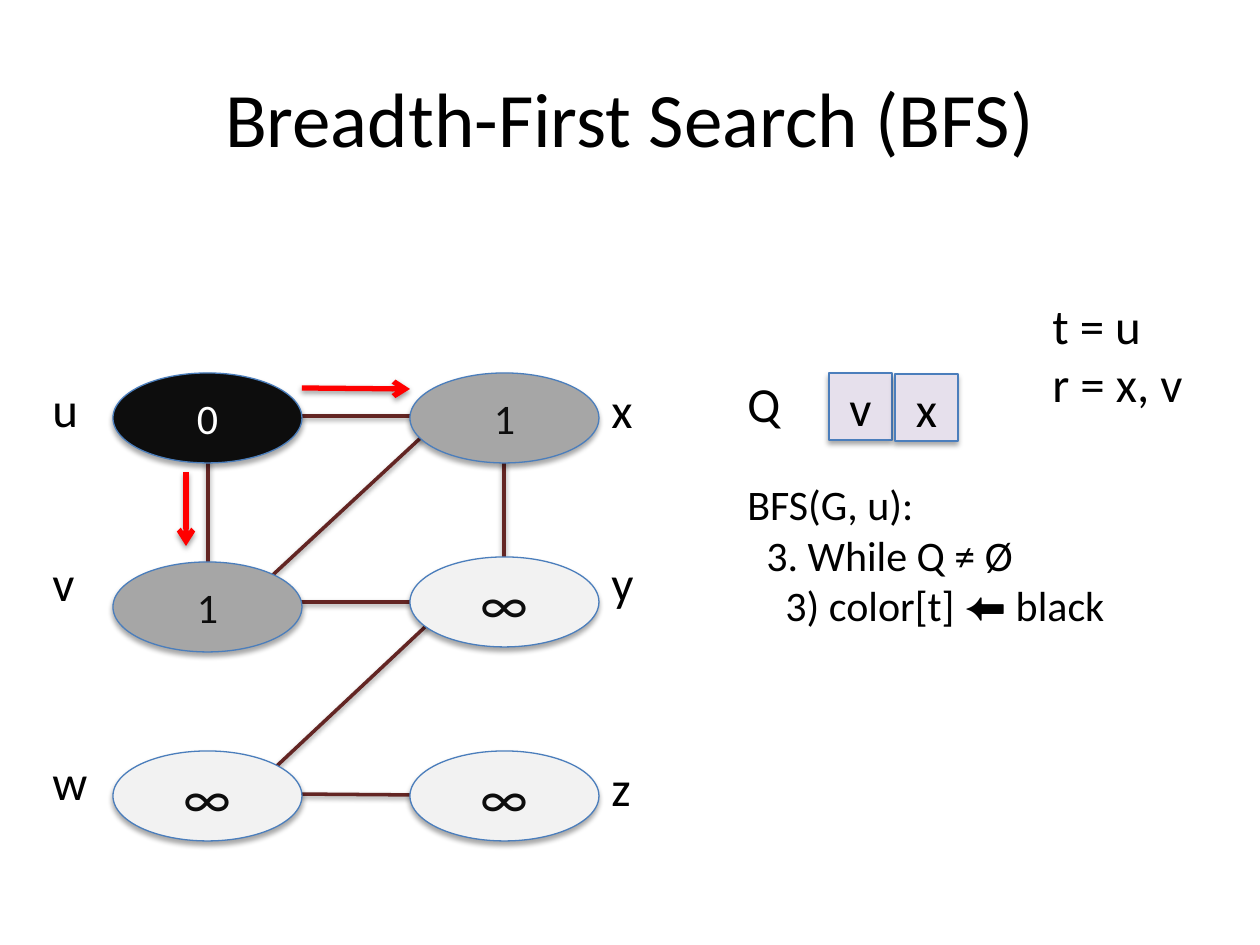
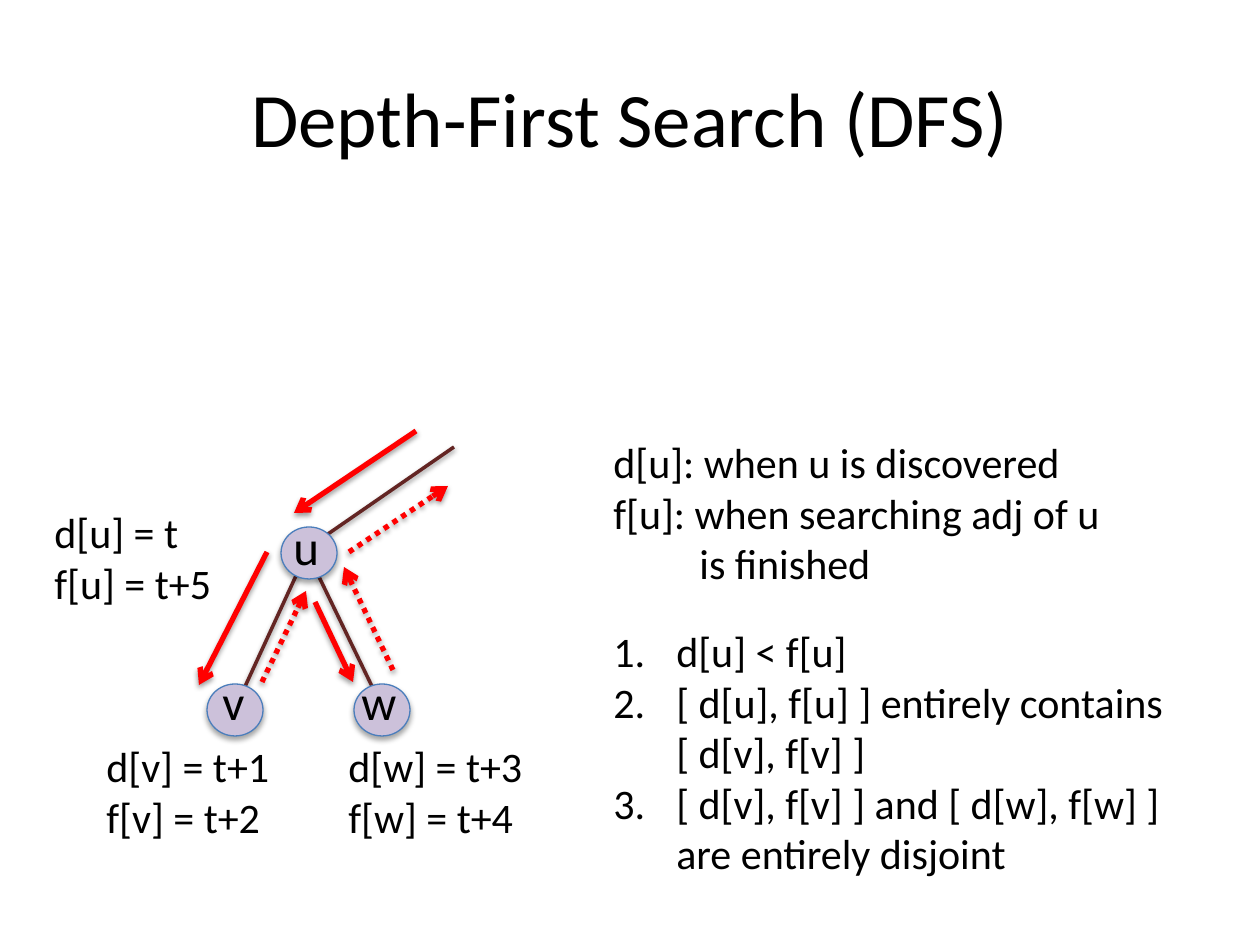
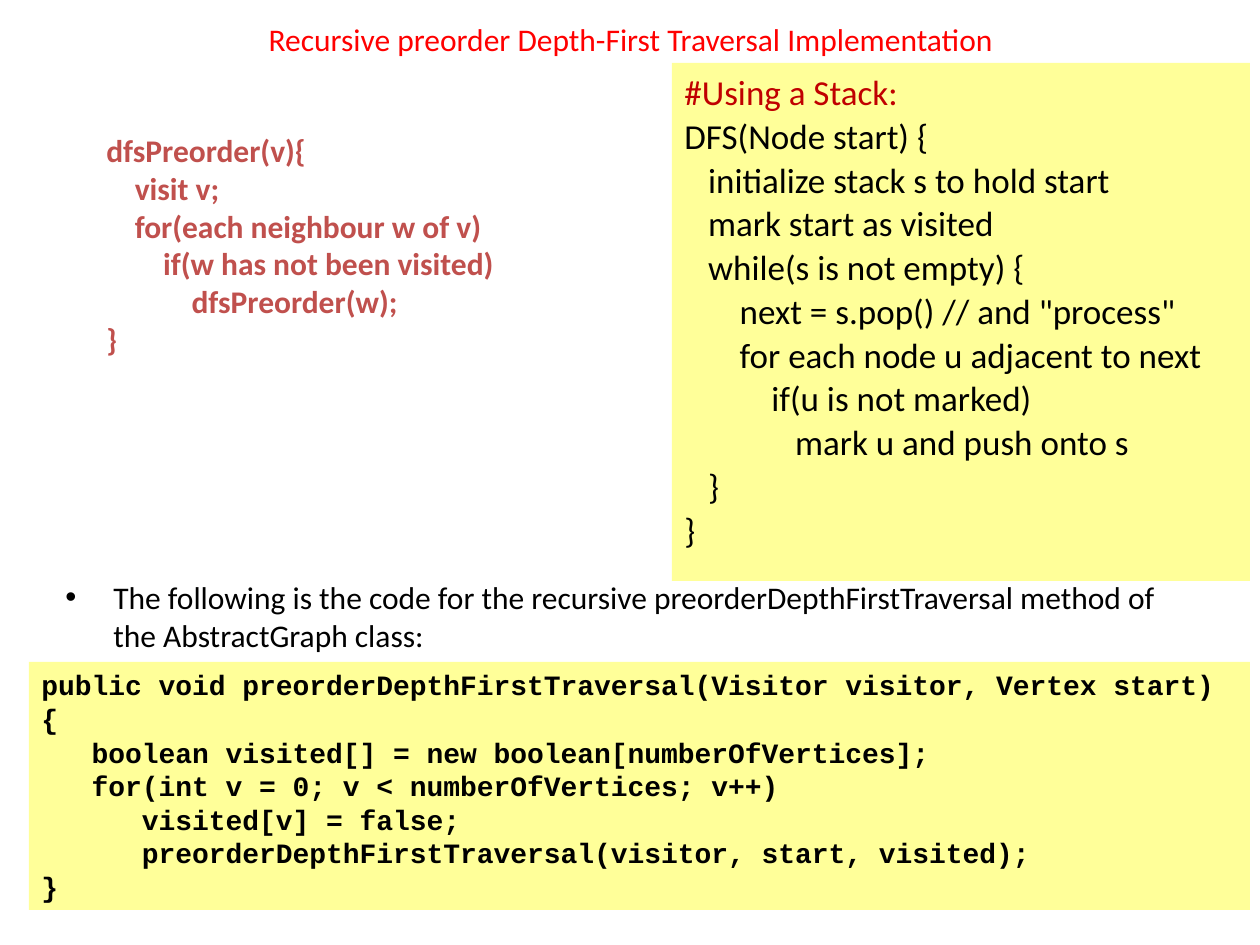
import collections

import lxml.etree
import pptx
import pptx.dml.color
import pptx.enum.dml
import pptx.enum.shapes
import pptx.enum.text
import pptx.oxml.ns
import pptx.util

RGB = pptx.dml.color.RGBColor
ALIGN = pptx.enum.text.PP_ALIGN
ANCHOR = pptx.enum.text.MSO_ANCHOR
SHAPE = pptx.enum.shapes.MSO_SHAPE
qn = pptx.oxml.ns.qn

BLACK = RGB(0x00, 0x00, 0x00)
WHITE = RGB(0xFF, 0xFF, 0xFF)
INK = RGB(0x0D, 0x0D, 0x0D)
GRAY = RGB(0xA6, 0xA6, 0xA6)
PALE = RGB(0xF2, 0xF2, 0xF2)
OUTLINE = RGB(0x4B, 0x7E, 0xBC)
EDGE = RGB(0x63, 0x25, 0x23)
RED = RGB(0xFF, 0x00, 0x00)
DARK_RED = RGB(0xC0, 0x00, 0x00)
BRICK = RGB(0xC0, 0x50, 0x4D)
LILAC = RGB(0xE6, 0xE0, 0xEC)
PURPLE = RGB(0xCC, 0xC1, 0xDA)
YELLOW = RGB(0xFF, 0xFF, 0x99)

PX_PER_INCH = 126
TITLE_ONLY = 5
NODE_FORMAT = {"align": ALIGN.CENTER, "anchor": ANCHOR.MIDDLE}

Box = collections.namedtuple("Box", "left top width height")


def px(length):
    return pptx.util.Emu(round(length * 914400 / PX_PER_INCH))


def emu(box):
    return [px(length) for length in box]


def inside(box, left, top, width, height):
    return Box(box.left + left, box.top + top, width, height)


def write(frame, lines, size=28, color=BLACK, font="Calibri", bold=False,
          align=ALIGN.LEFT, anchor=ANCHOR.TOP, inset_y=6, left=0, hanging=0,
          bullet=None, line_height=None, gap=0):
    frame.word_wrap = True
    frame.auto_size = pptx.enum.text.MSO_AUTO_SIZE.NONE
    frame.vertical_anchor = anchor
    frame.margin_top = frame.margin_bottom = px(inset_y)
    for index, line in enumerate([lines] if isinstance(lines, str) else lines):
        paragraph = frame.paragraphs[0] if index == 0 else frame.add_paragraph()
        properties = paragraph._p.get_or_add_pPr()
        if left or hanging:
            properties.set("marL", str(px(left)))
            properties.set("indent", str(px(-hanging)))
        if bullet:
            lxml.etree.SubElement(properties, qn("a:buFont"), typeface="Arial")
            if bullet == "number":
                lxml.etree.SubElement(properties, qn("a:buAutoNum"), type="arabicPeriod")
            else:
                lxml.etree.SubElement(properties, qn("a:buChar"), char=bullet)
        paragraph.alignment = align
        if line_height:
            paragraph.line_spacing = pptx.util.Pt(line_height)
        if gap and index:
            paragraph.space_before = pptx.util.Pt(gap)
        for words, changes in [(line, {})] if isinstance(line, str) else line:
            run = paragraph.add_run()
            run.text = words
            run.font.size = pptx.util.Pt(size)
            run.font.name = changes.get("font", font)
            run.font.bold = bold
            run.font.color.rgb = changes.get("color", color)


def add_text(slide, box, lines, **text_format):
    write(slide.shapes.add_textbox(*emu(box)).text_frame, lines, **text_format)


def cast_shadow(effects, opacity, distance):
    shadow = lxml.etree.SubElement(
        effects, qn("a:outerShdw"), blurRad=str(pptx.util.Pt(3.1)),
        dist=str(pptx.util.Pt(distance)), dir="5400000", rotWithShape="0")
    color = lxml.etree.SubElement(shadow, qn("a:srgbClr"), val=str(BLACK))
    lxml.etree.SubElement(color, qn("a:alpha"), val=str(opacity * 1000))


def add_block(slide, kind, box, fill, outlined=True):
    block = slide.shapes.add_shape(kind, *emu(box))
    block.fill.solid()
    block.fill.fore_color.rgb = fill
    block.shadow.inherit = False
    if outlined:
        block.line.color.rgb = OUTLINE
        block.line.width = pptx.util.Pt(0.75)
        cast_shadow(block._element.spPr.find(qn("a:effectLst")), 35, 1.8)
    else:
        block.line.fill.background()
    return block.text_frame


def add_line(slide, box, ends, color=EDGE, width=2, arrow=False, dotted=False):
    x1, y1, x2, y2 = ends
    line = slide.shapes.add_connector(
        pptx.enum.shapes.MSO_CONNECTOR.STRAIGHT,
        *emu((box.left + x1, box.top + y1, box.left + x2, box.top + y2)))
    line.line.color.rgb = color
    line.line.width = pptx.util.Pt(width)
    if dotted:
        line.line.dash_style = pptx.enum.dml.MSO_LINE.ROUND_DOT
    properties = line._element.spPr
    if arrow:
        lxml.etree.SubElement(properties.find(qn("a:ln")), qn("a:tailEnd"), type="arrow")
    cast_shadow(lxml.etree.SubElement(properties, qn("a:effectLst")), 38, 1.6)


def add_step(slide, box, ends, dotted=False):
    add_line(slide, box, ends, color=RED, width=3, arrow=True, dotted=dotted)


def add_titled_slide(deck, title, box=Box(63, 38, 1134, 157), size=44, color=BLACK):
    slide = deck.slides.add_slide(deck.slide_layouts[TITLE_ONLY])
    heading = slide.shapes.title
    heading.left, heading.top, heading.width, heading.height = emu(box)
    write(heading.text_frame, title, size=size, color=color, **NODE_FORMAT)
    return slide


def draw_bfs_graph(slide, box):
    edges = [
        (401, 240, 225, 405), (400, 48, 222, 213), (464, 79, 464, 189),
        (168, 79, 168, 198), (254, 422, 380, 423), (254, 230, 380, 230),
        (256, 44, 373, 44),
    ]
    for ends in edges:
        add_line(slide, box, ends)
    left_column, right_column = (73, 0), (370, 559)
    vertices = [
        ("u", "0", left_column, 1, 0, INK, WHITE),
        ("x", "1", right_column, 1, 1, GRAY, INK),
        ("v", "1", left_column, 190, 174, GRAY, INK),
        ("y", "∞", right_column, 185, 174, PALE, INK),
        ("z", "∞", right_column, 379, 379, PALE, INK),
        ("w", "∞", left_column, 379, 374, PALE, INK),
    ]
    for name, distance, (node_x, name_x), node_y, name_y, fill, color in vertices:
        node = add_block(slide, SHAPE.OVAL, inside(box, node_x, node_y, 189, 90), fill)
        write(node, distance, size=32 if distance == "∞" else 24, color=color, **NODE_FORMAT)
        add_text(slide, inside(box, name_x, name_y, 63, 72), name)
    for ends in [(262, 16, 370, 17), (146, 100, 146, 174)]:
        add_step(slide, box, ends)


def draw_queue(slide, box):
    add_text(slide, inside(box, 0, 0, 95, 72), "Q")
    for index, vertex in enumerate("vx"):
        cell = add_block(slide, SHAPE.RECTANGLE,
                         inside(box, 94 + 66 * index, 5 + index, 63, 67), LILAC)
        write(cell, vertex, **NODE_FORMAT)


def build_bfs(deck):
    slide = add_titled_slide(deck, "Breadth-First Search (BFS)")
    draw_bfs_graph(slide, Box(40, 372, 622, 469))
    draw_queue(slide, Box(735, 368, 223, 73))
    add_text(slide, Box(735, 473, 451, 165), [
        "BFS(G, u):",
        "  3. While Q ≠ Ø",
        [("    3) color[t] ", {}), ("⬅", {"font": "Arial"}), (" black", {})],
    ], size=24)
    add_text(slide, Box(1040, 289, 189, 131), ["t = u", "r = x, v"])


def draw_dfs_tree(slide, box):
    for ends in [(267, 132, 343, 289), (267, 132, 197, 284), (414, 27, 288, 114)]:
        add_line(slide, box, ends)
    vertices = [
        ("u", (241, 107), (241, 90)),
        ("v", (167, 264), (170, 245)),
        ("w", (314, 264), (309, 245)),
    ]
    for name, node_at, name_at in vertices:
        add_block(slide, SHAPE.OVAL, inside(box, *node_at, 56, 52), PURPLE)
        add_text(slide, inside(box, *name_at, 63, 72), name)
    for ends in [(376, 11, 254, 93), (227, 132, 159, 265), (275, 182, 313, 262)]:
        add_step(slide, box, ends)
    for ends in [(222, 262, 266, 171), (353, 250, 304, 147), (309, 132, 408, 66)]:
        add_step(slide, box, ends, dotted=True)
    times = [
        (2, 81, ["d[u] = t", "f[u] = t+5"]),
        (54, 315, ["d[v] = t+1", "f[v] = t+2"]),
        (296, 315, ["d[w] = t+3", "f[w] = t+4"]),
    ]
    for left, top, lines in times:
        add_text(slide, inside(box, left, top, 230, 115), lines, size=24)


def draw_dfs_rules(slide, box):
    add_text(slide, inside(box, 0, 0, 588, 115), [
        "d[u]: when u is discovered",
        "f[u]: when searching adj of u",
    ], size=24)
    add_text(slide, inside(box, 0, 101, 588, 64), "is finished", size=24, left=86)
    add_text(slide, inside(box, 0, 189, 607, 267), [
        "d[u] < f[u]",
        "[ d[u], f[u] ] entirely contains [ d[v], f[v] ]",
        "[ d[v], f[v] ] and [ d[w], f[w] ] are entirely disjoint",
    ], size=24, left=63, hanging=63, bullet="number")


def build_dfs(deck):
    slide = add_titled_slide(deck, "Depth-First Search (DFS)")
    draw_dfs_tree(slide, Box(40, 420, 540, 430))
    draw_dfs_rules(slide, Box(601, 431, 607, 456))


def draw_code_panel(slide, box, lines, **text_format):
    write(add_block(slide, SHAPE.RECTANGLE, box, YELLOW, outlined=False), lines, **text_format)


def build_preorder(deck):
    slide = add_titled_slide(
        deck, "Recursive preorder Depth-First Traversal Implementation",
        box=Box(64, 0, 1134, 77), size=18, color=RED)
    add_text(slide, Box(53, 572, 1134, 89),
             "The following is the code for the recursive preorderDepthFirstTraversal "
             "method of the AbstractGraph class:",
             size=18, left=48, hanging=48, bullet="•")
    draw_code_panel(slide, Box(29, 662, 1221, 248), [
        "public void preorderDepthFirstTraversal(Visitor visitor, Vertex start)",
        "{",
        "   boolean visited[] = new boolean[numberOfVertices];",
        "   for(int v = 0; v < numberOfVertices; v++)",
        "      visited[v] = false;",
        "      preorderDepthFirstTraversal(visitor, start, visited);",
        "}",
    ], size=16, font="Courier New", bold=True)
    add_text(slide, Box(94, 125, 431, 239), [
        "dfsPreorder(v){",
        "    visit v;",
        "    for(each neighbour w of v)",
        "        if(w has not been visited)",
        "            dfsPreorder(w);",
        "}",
    ], size=18, color=BRICK, bold=True)
    draw_code_panel(slide, Box(672, 63, 578, 518), [
        [("#Using a Stack:", {"color": DARK_RED})],
        "DFS(Node start) {",
        "   initialize stack s to hold start",
        "   mark start as visited",
        "   while(s is not empty) {",
        "       next = s.pop() // and \"process\"",
        "       for each node u adjacent to next",
        "           if(u is not marked)",
        "              mark u and push onto s",
        "   }",
        "}",
    ], size=20, inset_y=13, left=48, hanging=48, line_height=21, gap=4)


def main():
    deck = pptx.Presentation()
    deck.slide_width, deck.slide_height = px(1260), px(945)
    build_bfs(deck)
    build_dfs(deck)
    build_preorder(deck)
    deck.save("out.pptx")


if __name__ == "__main__":
    main()
